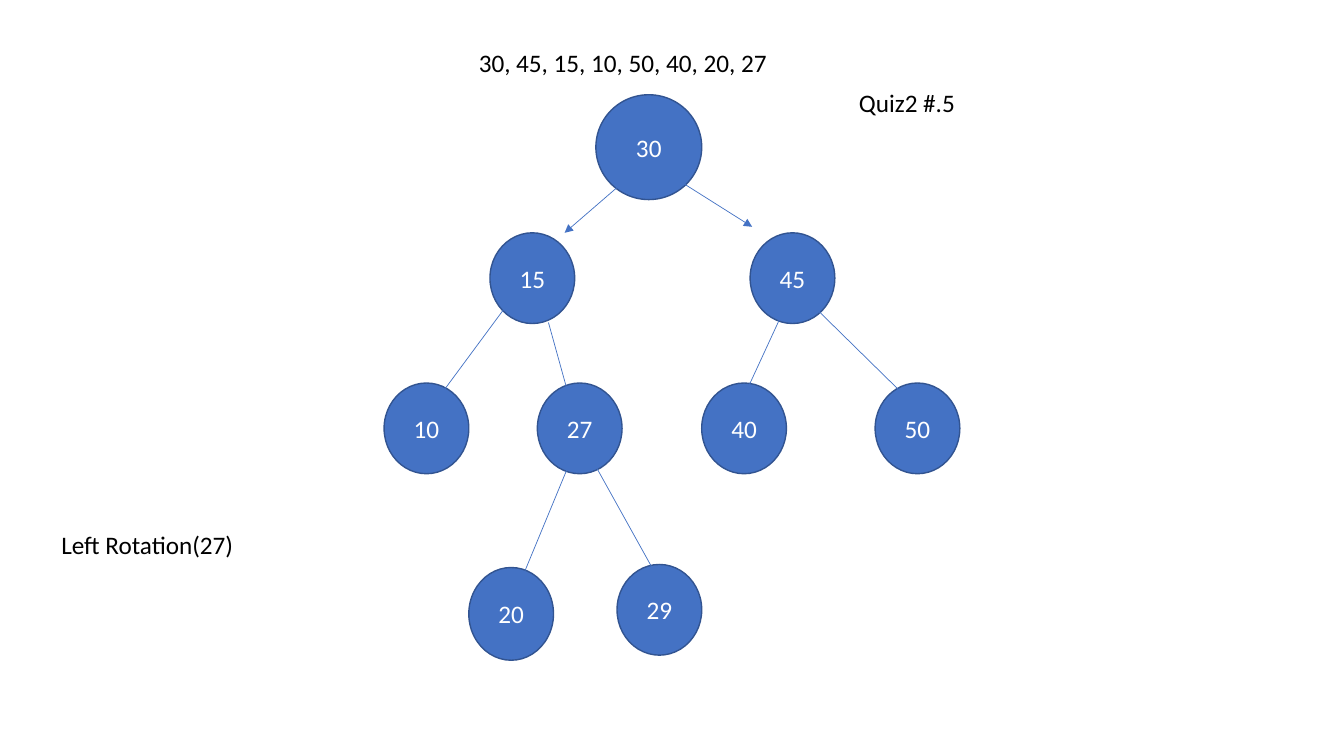
from dataclasses import dataclass

from lxml.etree import SubElement
from pptx import Presentation
from pptx.dml.color import RGBColor
from pptx.enum.shapes import MSO_CONNECTOR, MSO_SHAPE
from pptx.enum.text import MSO_ANCHOR, PP_ALIGN
from pptx.oxml.ns import qn
from pptx.util import Inches, Pt


@dataclass(frozen=True)
class Theme:
    """Colours and type of the slide."""
    node: RGBColor = RGBColor(0x44, 0x72, 0xC4)
    outline: RGBColor = RGBColor(0x32, 0x54, 0x91)
    node_text: RGBColor = RGBColor(0xFF, 0xFF, 0xFF)
    label_text: RGBColor = RGBColor(0, 0, 0)
    font: str = "Calibri"
    size: Pt = Pt(18)
    outline_width: Pt = Pt(1)
    edge_width: Pt = Pt(0.5)


theme = Theme()


def write(shape, text, color):
    """Put one line of text in a shape and format it."""
    shape.text_frame.word_wrap = True
    shape.text_frame.text = text
    font = shape.text_frame.paragraphs[0].runs[0].font
    font.name, font.size = theme.font, theme.size
    font.color.rgb = color


presentation = Presentation()
presentation.slide_width = Inches(13.33)
presentation.slide_height = Inches(7.5)
slide = presentation.slides.add_slide(presentation.slide_layouts[6])

# Tree nodes: key, left, top, width, height
child_size = (0.84, 0.9)
second_level, third_level = 2.31, 3.8
nodes = [
    ("30", 5.91, 0.94, 1.05, 1.04),
    ("15", 4.86, second_level, *child_size),
    ("45", 7.44, second_level, *child_size),
    ("10", 3.81, third_level, *child_size),
    ("27", 5.33, third_level, *child_size),
    ("40", 6.96, third_level, *child_size),
    ("50", 8.68, third_level, *child_size),
    ("20", 4.65, 5.63, 0.84, 0.92),
    ("29", 6.12, 5.6, *child_size),
]
for key, *place in nodes:
    node = slide.shapes.add_shape(MSO_SHAPE.OVAL, *map(Inches, place))
    node.shadow.inherit = False
    node.fill.solid()
    node.fill.fore_color.rgb = theme.node
    node.line.color.rgb = theme.outline
    node.line.width = theme.outline_width
    write(node, key, theme.node_text)
    node.text_frame.vertical_anchor = MSO_ANCHOR.MIDDLE
    node.text_frame.paragraphs[0].alignment = PP_ALIGN.CENTER

# Labels: text, left, top, width, height
labels = [
    ("30, 45, 15, 10, 50, 40, 20, 27", 4.65, 0.42, 3.08, 0.4),
    ("Quiz2 #.5", 8.42, 0.82, 1.22, 0.71),
    ("Left Rotation(27)", 0.51, 5.2, 1.94, 0.4),
]
for text, *place in labels:
    label = slide.shapes.add_textbox(*map(Inches, place))
    write(label, text, theme.label_text)

# Edges from parent to child: start x, start y, end x, end y
edges = [
    (6.19, 1.8, 5.6, 2.31),    # 30 to 15
    (6.62, 1.72, 7.46, 2.25),  # 30 to 45
    (5.07, 2.97, 4.36, 3.93),  # 15 to 10
    (5.44, 3.2, 5.7, 4.14),    # 15 to 27
    (7.86, 2.89, 7.38, 3.93),  # 45 to 40
    (8, 2.97, 9.1, 4.05),      # 45 to 50
    (5.68, 4.52, 5.15, 5.8),   # 27 to 20
    (5.75, 4.34, 6.65, 5.96),  # 27 to 29
]
for ends in edges:
    edge = slide.shapes.add_connector(MSO_CONNECTOR.STRAIGHT, *map(Inches, ends))
    edge.line.color.rgb = theme.node
    edge.line.width = theme.edge_width
    SubElement(edge.line._get_or_add_ln(), qn("a:tailEnd"), type="triangle")
    SubElement(edge._element.spPr, qn("a:effectLst"))

presentation.save("out.pptx")
